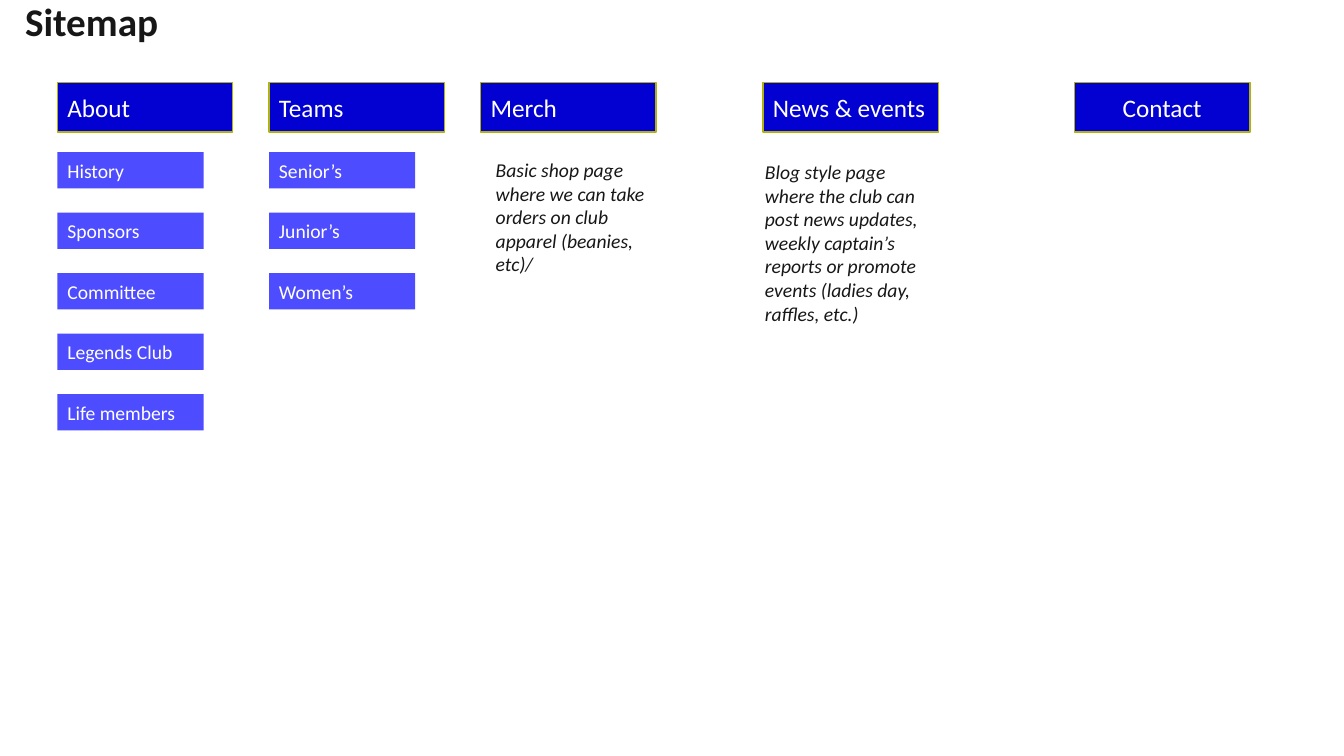
"""Build a one-slide sitemap of a sports club website."""
from pptx import Presentation, util as u
from pptx.dml.color import RGBColor
from pptx.enum import shapes, text

TITLE = "Sitemap"
SECTIONS = [
    ("About", 41, ["History", "Sponsors", "Committee", "Legends Club", "Life members"]),
    ("Teams", 192.2, ["Senior’s", "Junior’s", "Women’s"]),
    ("Merch", 343.4, []),
    ("News & events", 545, []),
    ("Contact", 767.5, []),
]
NOTES = [
    ("Basic shop page where we can take orders on club apparel (beanies, etc)/",
     (347, 109.4, 131, 92.2)),
    ("Blog style page where the club can post news updates, weekly captain’s "
     "reports or promote events (ladies day, raffles, etc.)",
     (539.3, 110.9, 131, 126)),
]
HEADER_TOP, HEADER_WIDTH, HEADER_HEIGHT = 59, 125.3, 35.3
PAGE_TOP, PAGE_STEP, PAGE_WIDTH, PAGE_HEIGHT = 108.7, 43.2, 104.4, 25.9
NAVY, VIOLET, OLIVE, WHITE, INK = "0201D1", "4D4CFE", "B2B20C", "FFFFFF", "181717"


def rgb(code):
    """Turn a hex string into a colour."""
    return RGBColor.from_string(code)


def write(holder, words, size, color, anchor=text.MSO_ANCHOR.MIDDLE,
          align=text.PP_ALIGN.LEFT):
    """Put one styled paragraph in a shape and return it."""
    frame = holder.text_frame
    frame.word_wrap = True
    frame.vertical_anchor = anchor
    paragraph = frame.paragraphs[0]
    paragraph.text = words
    paragraph.alignment = align
    paragraph.font.name = "Calibri"
    paragraph.font.size = u.Pt(size)
    paragraph.font.color.rgb = rgb(color)
    return paragraph


def add_box(slide, words, place, fill, size, border=None, align=text.PP_ALIGN.LEFT):
    """Add a filled rectangle with a label."""
    box = slide.shapes.add_shape(shapes.MSO_SHAPE.RECTANGLE, *map(u.Pt, place))
    box.shadow.inherit = False
    box.fill.solid()
    box.fill.fore_color.rgb = rgb(fill)
    if border:
        box.line.color.rgb = rgb(border)
        box.line.width = u.Pt(1)
    else:
        box.line.fill.background()
    write(box, words, size, WHITE, align=align)


def main():
    """Lay out the sitemap and save it."""
    deck = Presentation()
    deck.slide_width, deck.slide_height = u.Pt(960), u.Pt(540)
    slide = deck.slides.add_slide(deck.slide_layouts[6])

    heading = slide.shapes.add_textbox(*map(u.Pt, (10.8, -1.4, 828, 37.4)))
    title = write(heading, TITLE, 28, INK)
    title.font.bold = True
    title.line_spacing = 0.9

    for section, left, pages in SECTIONS:
        align = text.PP_ALIGN.CENTER if section == "Contact" else text.PP_ALIGN.LEFT
        add_box(slide, section, (left, HEADER_TOP, HEADER_WIDTH, HEADER_HEIGHT),
                NAVY, 18, OLIVE, align)
        for row, page in enumerate(pages):
            top = PAGE_TOP + row * PAGE_STEP
            add_box(slide, page, (left, top, PAGE_WIDTH, PAGE_HEIGHT), VIOLET, 14)

    for words, place in NOTES:
        note = slide.shapes.add_textbox(*map(u.Pt, place))
        write(note, words, 14, INK, text.MSO_ANCHOR.TOP).font.italic = True
        note.text_frame.auto_size = text.MSO_AUTO_SIZE.SHAPE_TO_FIT_TEXT

    deck.save("out.pptx")


if __name__ == "__main__":
    main()
